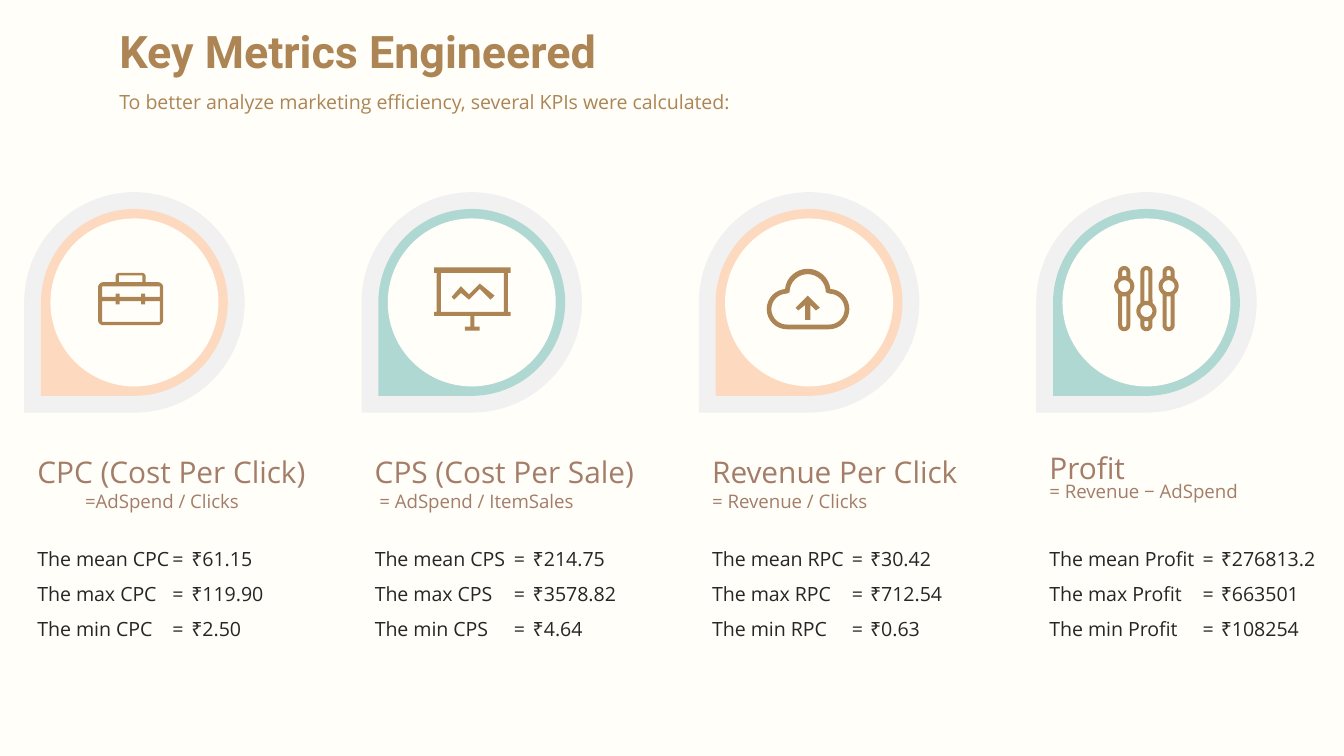
"""Build the slide of engineered marketing metrics."""
from dataclasses import dataclass
from math import cos, radians, sin
from typing import NamedTuple, Union

from lxml.etree import SubElement
from pptx import Presentation
from pptx.dml.color import RGBColor
from pptx.enum.shapes import MSO_SHAPE as Preset
from pptx.oxml.ns import qn
from pptx.util import Emu, Pt

SCALE = 4572
BACKGROUND, BROWN, GREY = "FFFEF9", "AD8555", "F1F1F1"
PEACH, TEAL, ROSE, DARK = "FDDABF", "B0D8D3", "A47D69", "262626"
BODY_FONT = "Open Sans"
FIRST_LEFT, PITCH = 36, 502


class Arc(NamedTuple):
    x: int
    y: int
    radius: int
    start: int
    end: int


Contour = list[Union[Arc, tuple[int, int]]]


@dataclass
class Metric:
    title: str
    formula: str
    rows: list[tuple[str, str]]
    tabs: tuple[int, int]
    color: str
    width: int
    icon: list[list[Contour]]
    top: int = 666
    height: int = 108
    indent: int = 0
    title_spacing: float = 1.0
    formula_spacing: float = 1.0


def px(value: float) -> Emu:
    return Emu(round(value * SCALE))


def rgb(color: str) -> RGBColor:
    return RGBColor.from_string(color)


def paint(shape, color: str) -> None:
    shape.shadow.inherit = False
    shape.fill.solid()
    shape.fill.fore_color.rgb = rgb(color)
    shape.line.fill.background()


def add_disc(slide, preset, center_x: int, center_y: int, size: int, color: str, rotation: int) -> None:
    shape = slide.shapes.add_shape(
        preset, px(center_x - size / 2), px(center_y - size / 2), px(size), px(size))
    shape.rotation = rotation
    paint(shape, color)


def trace(contour: Contour) -> list[tuple[Emu, Emu]]:
    points = []
    for part in contour:
        if isinstance(part, Arc):
            steps = 16
            for step in range(steps + 1):
                angle = radians(part.start + (part.end - part.start) * step / steps)
                points.append((px(part.x + part.radius * cos(angle)),
                               px(part.y + part.radius * sin(angle))))
        else:
            points.append((px(part[0]), px(part[1])))
    return points


def add_outline(slide, contours: list[Contour]) -> None:
    first, *holes = [trace(contour) for contour in contours]
    builder = slide.shapes.build_freeform(*first[0], scale=1.0)
    builder.add_line_segments(first[1:], close=True)
    for hole in holes:
        builder.move_to(*hole[0])
        builder.add_line_segments(hole[1:], close=True)
    paint(builder.convert_to_shape(), BROWN)


def add_text_box(slide, left: int, top: int, width: int, height: int, wrap: bool = True):
    frame = slide.shapes.add_textbox(px(left), px(top), px(width), px(height)).text_frame
    frame.word_wrap = wrap
    return frame


def write(frame, text: str, *, size: float, color: str, font: str = BODY_FONT, bold: bool = False,
          spacing: float = 1.0, indent: int = 0, tabs: tuple[int, ...] = ()) -> None:
    paragraph = frame.paragraphs[0]
    if paragraph.runs:
        paragraph = frame.add_paragraph()
    paragraph.line_spacing = spacing
    properties = paragraph._p.get_or_add_pPr()
    if indent:
        properties.set("marL", str(px(indent)))
    if tabs:
        tab_list = SubElement(properties, qn("a:tabLst"))
        for tab in tabs:
            SubElement(tab_list, qn("a:tab"), pos=str(px(tab)), algn="l")
    run = paragraph.add_run()
    run.text = text
    run.font.name, run.font.size, run.font.bold = font, Pt(size), bold
    run.font.color.rgb = rgb(color)


def slider(x: int, knob: int) -> list[Contour]:
    top, bottom = 405, 484
    return [
        [Arc(x, top, 9, 180, 360), Arc(x, knob, 15, -53, 53),
         Arc(x, bottom, 9, 0, 180), Arc(x, knob, 15, 127, 233)],
        [Arc(x, knob, 9, 0, 360)],
        [Arc(x, top, 3, 180, 360), (x + 3, knob - 15), (x - 3, knob - 15)],
        [Arc(x, bottom, 3, 0, 180), (x - 3, knob + 15), (x + 3, knob + 15)],
    ]


BRIEFCASE = [[
    [Arc(154, 428, 8, 180, 270), (172, 420), Arc(178, 412, 6, 180, 270),
     Arc(211, 412, 6, 270, 360), (217, 420), Arc(235, 428, 8, 270, 360),
     Arc(235, 476, 8, 0, 90), Arc(154, 476, 8, 90, 180)],
    [(177, 410), (212, 410), (212, 420), (177, 420)],
    [(152, 426), (238, 426), (238, 442), (216, 442), (216, 437), (210, 437),
     (210, 442), (178, 442), (178, 437), (172, 437), (172, 442), (152, 442)],
    [(152, 448), (172, 448), (172, 453), (178, 453), (178, 448), (210, 448),
     (210, 453), (216, 453), (216, 448), (238, 448), (238, 479), (152, 479)],
]]
SCREEN = [
    [[(714, 422), (698, 438), (686, 426), (672, 442), (676, 446), (686, 436),
      (698, 446), (714, 430), (730, 446), (736, 440)]],
    [[(760, 406), (760, 398), (646, 398), (646, 406), (650, 406), (650, 464),
      (646, 464), (646, 470), (700, 470), (700, 486), (692, 486), (692, 492),
      (714, 492), (714, 486), (706, 486), (706, 470), (760, 470), (760, 464),
      (756, 464), (756, 406)],
     [(656, 464), (656, 406), (750, 406), (750, 464)]],
]
CLOUD = [
    [[(1184, 458), (1188, 462), (1198, 454), (1198, 476), (1206, 476), (1206, 454),
      (1214, 462), (1220, 458), (1202, 440)]],
    [[Arc(1171, 460, 30, 90, 270), Arc(1202, 434, 34, 187, 353), Arc(1234, 460, 30, -90, 90)],
     [Arc(1171, 460, 23, 90, 270), Arc(1202, 435, 27, 180, 360), Arc(1234, 460, 23, -90, 90)]],
]
SLIDERS = [slider(1673, 426), slider(1739, 426), slider(1706, 463)]

METRICS = [
    Metric("CPC (Cost Per Click)", "=AdSpend / Clicks",
           [("The mean CPC", "₹61.15"), ("The max CPC", "₹119.90"), ("The min CPC", "₹2.50")],
           (201, 229), PEACH, 452, BRIEFCASE, indent=71),
    Metric("CPS (Cost Per Sale)", "= AdSpend / ItemSales",
           [("The mean CPS", "₹214.75"), ("The max CPS", "₹3578.82"), ("The min CPS", "₹4.64")],
           (207, 235), TEAL, 428, SCREEN, indent=7),
    Metric("Revenue Per Click", "= Revenue / Clicks",
           [("The mean RPC", "₹30.42"), ("The max RPC", "₹712.54"), ("The min RPC", "₹0.63")],
           (208, 235), PEACH, 418, CLOUD),
    Metric("Profit", "= Revenue − AdSpend",
           [("The mean Profit", "₹276813.2"), ("The max Profit", "₹663501"),
            ("The min Profit", "₹108254")],
           (228, 255), TEAL, 366, SLIDERS, top=678, height=126,
           title_spacing=0.6, formula_spacing=0.83),
]


def add_metric(slide, metric: Metric, left: int) -> None:
    center_x, center_y = left + 164, 450
    add_disc(slide, Preset.TEAR, center_x, center_y, 328, GREY, 180)
    add_disc(slide, Preset.TEAR, center_x, center_y, 278, metric.color, 180)
    add_disc(slide, Preset.OVAL, center_x, center_y, 250, BACKGROUND, 270)
    for contours in metric.icon:
        add_outline(slide, contours)
    heading = add_text_box(slide, left, metric.top, metric.width, metric.height, wrap=False)
    write(heading, metric.title, size=16, color=ROSE, spacing=metric.title_spacing)
    write(heading, metric.formula, size=10, color=ROSE,
          spacing=metric.formula_spacing, indent=metric.indent)
    values = add_text_box(slide, left, 786, 438, 242)
    for label, value in metric.rows:
        write(values, f"{label}\t=\t{value}", size=10.5, color=DARK, spacing=1.5, tabs=metric.tabs)


def main() -> None:
    presentation = Presentation()
    presentation.slide_width, presentation.slide_height = px(2000), px(1125)
    slide = presentation.slides.add_slide(presentation.slide_layouts[6])
    slide.background.fill.solid()
    slide.background.fill.fore_color.rgb = rgb(BACKGROUND)
    for index, metric in enumerate(METRICS):
        add_metric(slide, metric, FIRST_LEFT + index * PITCH)
    write(add_text_box(slide, 158, 26, 1088, 100), "Key Metrics Engineered",
          size=24, color=BROWN, font="Roboto", bold=True)
    write(add_text_box(slide, 158, 124, 1006, 56),
          "To better analyze marketing efficiency, several KPIs were calculated:",
          size=10.5, color=BROWN)
    presentation.save("out.pptx")


if __name__ == "__main__":
    main()
